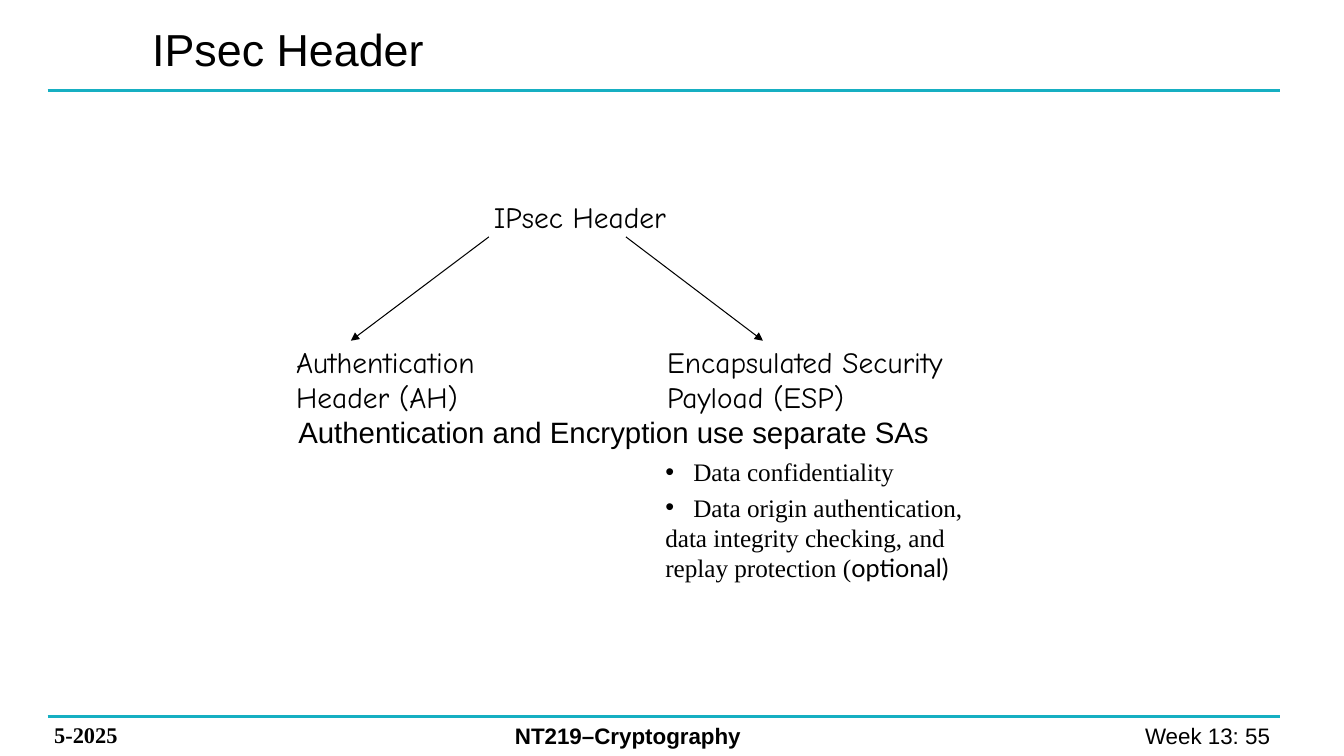
from dataclasses import dataclass
from lxml.etree import SubElement
from pptx import Presentation
from pptx.dml.color import RGBColor
from pptx.enum.shapes import MSO_CONNECTOR
from pptx.enum.text import MSO_ANCHOR, MSO_AUTO_SIZE, PP_ALIGN
from pptx.oxml.ns import qn
from pptx.util import Pt


@dataclass(frozen=True)
class Theme:
    ink: RGBColor = RGBColor(0, 0, 0)
    teal: RGBColor = RGBColor(0x16, 0xAF, 0xC2)
    sans: str = "Arial"
    serif: str = "Times New Roman"
    hand: str = "Comic Neue"
    alt: str = "Lato"
    head: int = 32
    label: int = 21
    item: int = 18
    foot: int = 16


class Page:
    def __init__(self, deck, theme):
        self.theme = theme
        self.slide = deck.slides.add_slide(deck.slide_layouts[1])

    def place(self, shape, box):
        shape.left, shape.top, shape.width, shape.height = map(Pt, box)

    def style(self, run, face, size, bold=False):
        font = run.font
        font.name, font.size, font.bold = face, Pt(size), bold
        font.color.rgb = self.theme.ink

    def title(self, text, box):
        shape = self.slide.shapes.title
        self.place(shape, box)
        frame = shape.text_frame
        frame.text = text
        frame.auto_size = MSO_AUTO_SIZE.NONE
        frame.vertical_anchor = MSO_ANCHOR.MIDDLE
        para = frame.paragraphs[0]
        para.alignment = PP_ALIGN.LEFT
        self.style(para.runs[0], self.theme.sans, self.theme.head)

    def text(self, text, box, face, size, bold=False,
             align=PP_ALIGN.LEFT, inset=(7.2, 3.6)):
        frame = self.slide.shapes.add_textbox(*map(Pt, box)).text_frame
        frame.text = text
        frame.word_wrap = True
        frame.margin_left = frame.margin_right = Pt(inset[0])
        frame.margin_top = frame.margin_bottom = Pt(inset[1])
        para = frame.paragraphs[0]
        para.alignment = align
        for run in para.runs:
            self.style(run, face, size, bold)

    def label(self, text, box, face):
        self.text(text, box, face, self.theme.label, inset=(5, 2.2))

    def items(self, rows, box):
        shape = self.slide.placeholders[1]
        self.place(shape, box)
        frame = shape.text_frame
        frame.auto_size = MSO_AUTO_SIZE.NONE
        for num, (mark, parts) in enumerate(rows):
            para = frame.add_paragraph() if num else frame.paragraphs[0]
            para.space_before = Pt(3.5 if num and mark else 0)
            props = para._p.get_or_add_pPr()
            props.set("marL", str(Pt(20) if mark else 0))
            props.set("indent", str(Pt(-20) if mark else 0))
            if mark:
                SubElement(props, qn("a:buFont"), typeface=self.theme.sans)
                SubElement(props, qn("a:buChar"), char="•")
            else:
                SubElement(props, qn("a:buNone"))
            for words, face in parts:
                run = para.add_run()
                run.text = words
                self.style(run, face, self.theme.item)

    def line(self, start, end, color, width, arrow=False):
        link = self.slide.shapes.add_connector(
            MSO_CONNECTOR.STRAIGHT, *map(Pt, start + end))
        link.line.color.rgb = color
        link.line.width = Pt(width)
        if arrow:
            SubElement(link.line._get_or_add_ln(), qn("a:tailEnd"), type="triangle")
        SubElement(link._element.spPr, qn("a:effectLst"))


def main():
    deck = Presentation()
    deck.slide_width, deck.slide_height = Pt(960), Pt(540)
    theme = Theme()
    page = Page(deck, theme)

    # Title and rules
    page.title("IPsec Header", (101.5, -0.7, 445.7, 71.3))
    for y in (64.8, 511.9):
        page.line((34, y), (914, y), theme.teal, 2.25)

    # Footer
    page.text("5-2025", (31.7, 511.9, 128, 26.6), theme.serif, theme.foot, True)
    page.text("NT219–Cryptography", (360.7, 512.2, 294.5, 26.6),
              theme.sans, theme.foot, True)
    page.text("Week 13: 55", (702.6, 512.2, 211.7, 26.6),
              theme.sans, theme.foot, align=PP_ALIGN.RIGHT)

    # Header tree
    page.label("IPsec Header", (347.8, 139.7, 142, 28), theme.hand)
    page.label("Authentication\vHeader (AH)", (206.6, 243.4, 150, 56), theme.hand)
    page.label("Encapsulated Security\vPayload (ESP)",
               (471.6, 243.4, 274.3, 56), theme.hand)
    for start, end in ((349.2, 250.6), (447.1, 545)):
        page.line((start, 169.2), (end, 243.4), theme.ink, 0.75, arrow=True)
    page.label("Authentication and Encryption use separate SAs",
               (208.1, 293.8, 480, 30), theme.sans)

    # Services of ESP
    serif = theme.serif
    page.items([
        (True, [("Data confidentiality", serif)]),
        (True, [("Data origin authentication,", serif)]),
        (False, [("data integrity checking, and", serif)]),
        (False, [("replay protection (", serif), ("optional)", theme.alt)]),
    ], (468, 322.6, 277.9, 98))

    deck.save("out.pptx")


if __name__ == "__main__":
    main()
